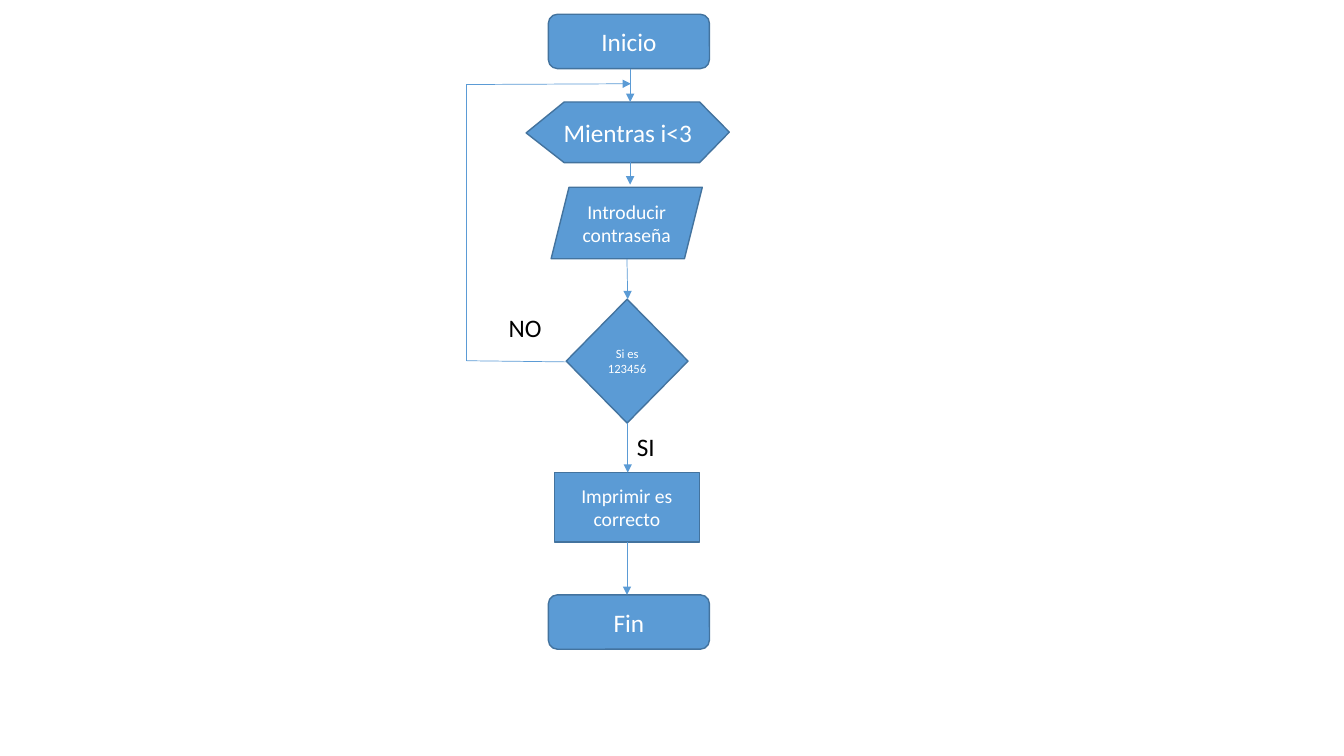
from dataclasses import dataclass
from typing import NamedTuple

from lxml.etree import SubElement
from pptx import Presentation
from pptx.dml.color import RGBColor
from pptx.enum.shapes import MSO_CONNECTOR, MSO_SHAPE
from pptx.enum.text import MSO_ANCHOR, PP_ALIGN
from pptx.oxml.ns import qn
from pptx.shapes.autoshape import Shape
from pptx.shapes.shapetree import SlideShapes
from pptx.util import Cm, Pt


@dataclass(frozen=True)
class Theme:
    font: str = "Calibri"
    fill: RGBColor = RGBColor(0x5B, 0x9B, 0xD5)
    outline: RGBColor = RGBColor(0x43, 0x73, 0x9E)
    on_fill: RGBColor = RGBColor(0xFF, 0xFF, 0xFF)
    ink: RGBColor = RGBColor(0, 0, 0)
    large: int = 18
    medium: int = 14
    small: int = 9
    outline_width: float = 1
    arrow_width: float = 0.5


class Step(NamedTuple):
    text: str
    kind: MSO_SHAPE
    left: float
    top: float
    width: float
    height: float
    size: int


class Label(NamedTuple):
    text: str
    left: float
    top: float


class Link(NamedTuple):
    x1: float
    y1: float
    x2: float
    y2: float
    arrow: bool = True


THEME = Theme()

STEPS = [
    Step("Inicio", MSO_SHAPE.ROUNDED_RECTANGLE, 13.82, 0.36, 4.06, 1.37, THEME.large),
    Step("Fin", MSO_SHAPE.ROUNDED_RECTANGLE, 13.82, 14.99, 4.06, 1.37, THEME.large),
    Step("Introducir contraseña", MSO_SHAPE.PARALLELOGRAM, 13.89, 4.72, 3.81, 1.8, THEME.medium),
    Step("Imprimir es correcto", MSO_SHAPE.RECTANGLE, 13.97, 11.91, 3.66, 1.75, THEME.medium),
    Step("Si es 123456", MSO_SHAPE.DIAMOND, 14.27, 7.54, 3.07, 3.12, THEME.small),
]

LOOP_TEXT = "Mientras i<3"
LOOP_OUTLINE = [(14.22, 2.57), (17.63, 2.57), (18.38, 3.33),
                (17.63, 4.1), (14.22, 4.1), (13.26, 3.35)]

LABELS = [Label("SI", 15.8, 10.74), Label("NO", 12.57, 7.75)]

LINKS = [
    Link(15.88, 1.73, 15.88, 2.57),
    Link(15.88, 4.08, 15.88, 4.65),
    Link(15.8, 6.53, 15.82, 7.54),
    Link(15.82, 10.67, 15.82, 11.91),
    Link(15.8, 13.67, 15.8, 14.99),
    Link(14.27, 9.12, 11.76, 9.09, arrow=False),
    Link(11.76, 9.09, 11.76, 2.12, arrow=False),
    Link(11.76, 2.13, 15.9, 2.11),
]


def write(sp: Shape, text: str, size: int, color: RGBColor, align: PP_ALIGN) -> None:
    p = sp.text_frame.paragraphs[0]
    p.alignment = align
    r = p.add_run()
    r.text = text
    for name, value in {"name": THEME.font, "size": Pt(size)}.items():
        setattr(r.font, name, value)
    r.font.color.rgb = color


def style_step(sp: Shape, text: str, size: int) -> None:
    """Give a flowchart symbol its colours and centred text."""
    sp.shadow.inherit = False
    sp.fill.solid()
    sp.fill.fore_color.rgb = THEME.fill
    sp.line.color.rgb = THEME.outline
    sp.line.width = Pt(THEME.outline_width)
    for name, value in {"word_wrap": True, "vertical_anchor": MSO_ANCHOR.MIDDLE}.items():
        setattr(sp.text_frame, name, value)
    write(sp, text, size, THEME.on_fill, PP_ALIGN.CENTER)


def add_step(shapes: SlideShapes, step: Step) -> None:
    sp = shapes.add_shape(step.kind, Cm(step.left), Cm(step.top),
                          Cm(step.width), Cm(step.height))
    style_step(sp, step.text, step.size)


def add_loop(shapes: SlideShapes) -> None:
    start, *rest = [(Cm(x), Cm(y)) for x, y in LOOP_OUTLINE]
    builder = shapes.build_freeform(*start)
    builder.add_line_segments(rest, close=True)
    style_step(builder.convert_to_shape(), LOOP_TEXT, THEME.large)


def add_label(shapes: SlideShapes, label: Label) -> None:
    sp = shapes.add_textbox(Cm(label.left), Cm(label.top), Cm(1.52), Cm(1.02))
    sp.text_frame.word_wrap = True
    write(sp, label.text, THEME.large, THEME.ink, PP_ALIGN.LEFT)


def add_link(shapes: SlideShapes, link: Link) -> None:
    cxn = shapes.add_connector(MSO_CONNECTOR.STRAIGHT, Cm(link.x1), Cm(link.y1),
                               Cm(link.x2), Cm(link.y2))
    cxn.line.color.rgb = THEME.fill
    cxn.line.width = Pt(THEME.arrow_width)
    if link.arrow:
        SubElement(cxn.line._get_or_add_ln(), qn("a:tailEnd"), type="triangle")
    SubElement(cxn._element.spPr, qn("a:effectLst"))


def main() -> None:
    prs = Presentation()
    prs.slide_width, prs.slide_height = Cm(33.87), Cm(19.05)
    shapes = prs.slides.add_slide(prs.slide_layouts[6]).shapes
    for step in STEPS:
        add_step(shapes, step)
    add_loop(shapes)
    for link in LINKS:
        add_link(shapes, link)
    for label in LABELS:
        add_label(shapes, label)
    prs.save("out.pptx")


if __name__ == "__main__":
    main()
